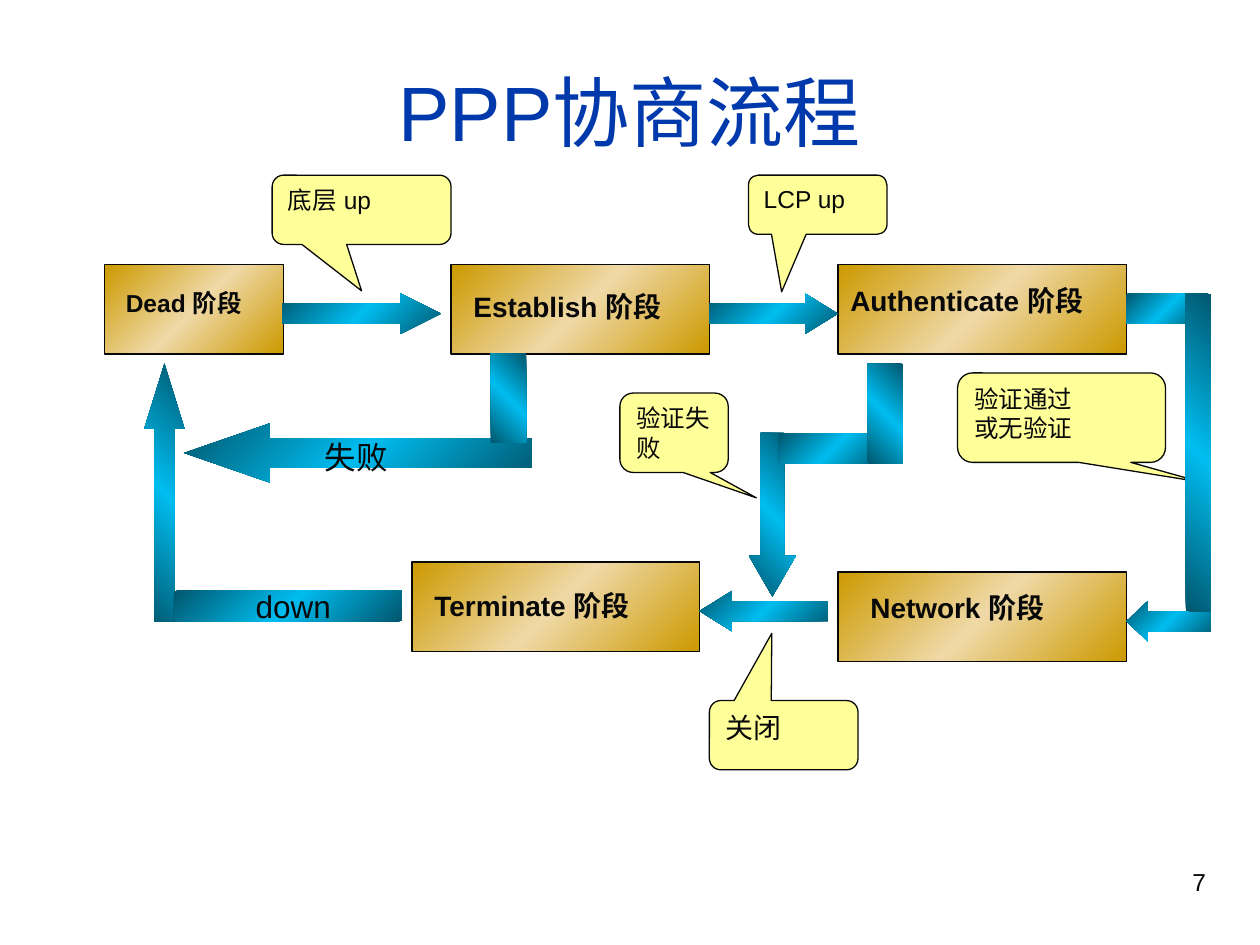
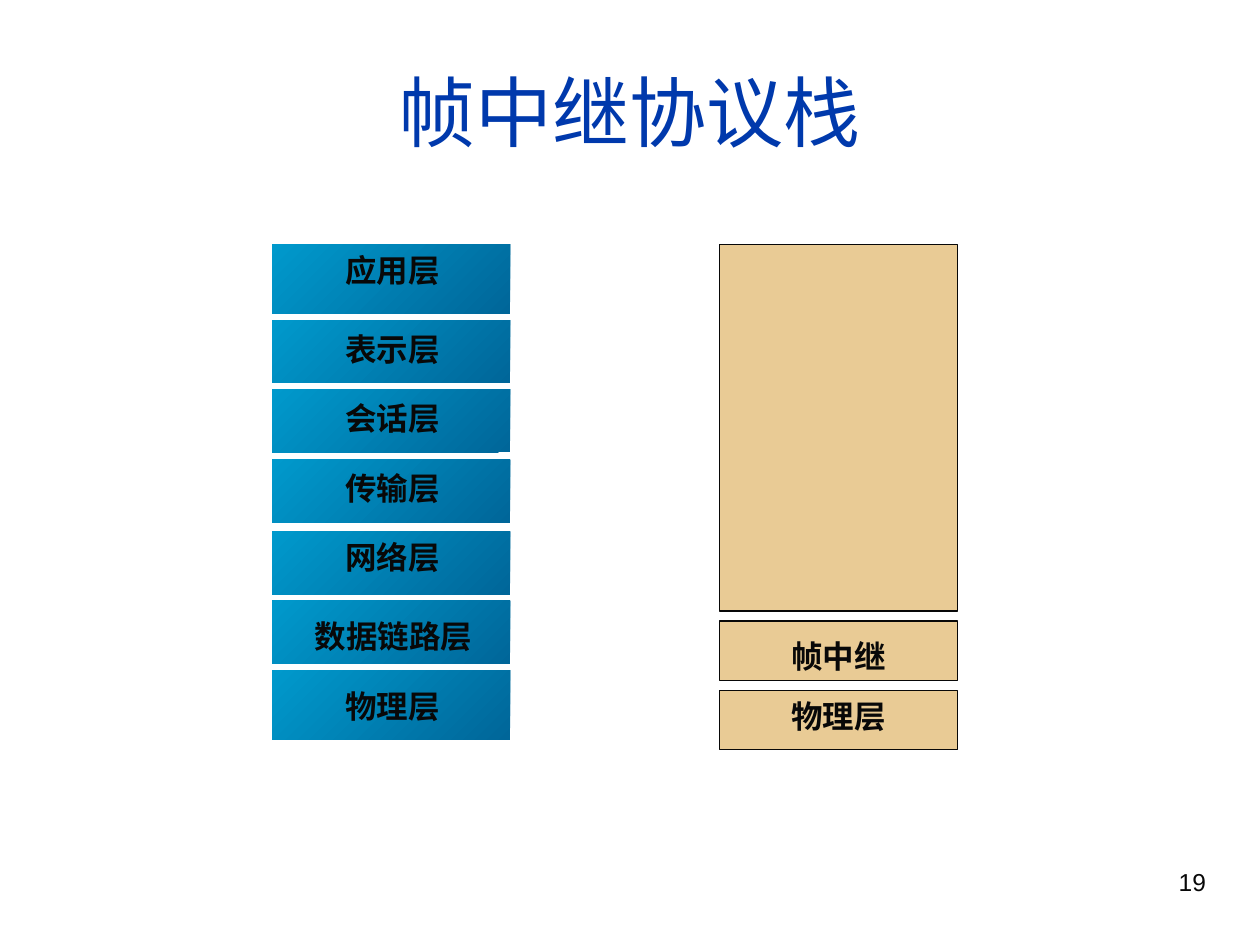
from copy import deepcopy
from pptx import Presentation
from pptx.dml.color import RGBColor
from pptx.enum.shapes import MSO_SHAPE as SHAPE
from pptx.enum.text import MSO_ANCHOR as ANCHOR, MSO_AUTO_SIZE as AUTO, PP_ALIGN as ALIGN
from pptx.oxml.ns import qn
from pptx.oxml.xmlchemy import OxmlElement
from pptx.util import Pt

PX = 9144  # 100 px to the inch

TITLE_BLUE = RGBColor(0x00, 0x39, 0xAC)
INK = RGBColor(0x08, 0x08, 0x08)
NOTE_YELLOW = RGBColor(0xFF, 0xFF, 0x99)
SAND = RGBColor(0xE9, 0xCB, 0x95)
GOLD = RGBColor(0xCC, 0x99, 0x00)
PALE_GOLD = RGBColor(0xEF, 0xD9, 0xA7)
TEAL = RGBColor(0x00, 0x57, 0x6E)
CYAN = RGBColor(0x00, 0xBD, 0xF0)
NAVY = RGBColor(0x00, 0x66, 0x99)
SKY = RGBColor(0x00, 0x99, 0xCC)

STAGE_FILL = (GOLD, PALE_GOLD, GOLD)
ARROW_FILL = (TEAL, CYAN, TEAL)
LAYER_FILL = (NAVY, SKY)


def add_box(slide, box, kind=None, fill=None, border=True, adj=(), turn=0):
    """Add a text box, or a preset shape with a plain or gradient fill."""
    lengths = [v * PX for v in box]
    if kind is None:
        return slide.shapes.add_textbox(*lengths)
    sp = slide.shapes.add_shape(kind, *lengths)
    sp.shadow.inherit = False
    sp.rotation = turn
    for i, value in enumerate(adj):
        sp.adjustments[i] = value
    if isinstance(fill, RGBColor):
        sp.fill.solid()
        sp.fill.fore_color.rgb = fill
    else:
        sp.fill.gradient()
        sp.fill.gradient_angle = 135
        if len(fill) == 3:
            stops = sp._element.spPr.find(qn("a:gradFill")).find(qn("a:gsLst"))
            stops.append(deepcopy(stops[-1]))
        for i, (stop, color) in enumerate(zip(sp.fill.gradient_stops, fill)):
            stop.position = i / (len(fill) - 1)
            stop.color.rgb = color
    if border:
        sp.line.color.rgb = INK
        sp.line.width = Pt(0.75)
    else:
        sp.line.fill.background()
    return sp


def write(sp, lines, size, bold=False, color=INK, align=ALIGN.LEFT,
          anchor=ANCHOR.TOP, label=False):
    """Write one paragraph per line; a label grows and has space before."""
    tf = sp.text_frame
    tf.word_wrap = True
    tf.vertical_anchor = anchor
    if label:
        tf.auto_size = AUTO.SHAPE_TO_FIT_TEXT
    for i, line in enumerate(lines):
        p = tf.add_paragraph() if i else tf.paragraphs[0]
        p.alignment = align
        if label:
            p.space_before = Pt(size * 0.625)
        r = p.add_run()
        r.text = line
        r.font.size = Pt(size)
        r.font.bold = bold
        r.font.name = "Arial"
        r.font.color.rgb = color
        ea = OxmlElement("a:ea")
        ea.set("typeface", "Arial")
        r._r.get_or_add_rPr().append(ea)


prs = Presentation()
prs.slide_width, prs.slide_height = 1000 * PX, 750 * PX

# Title and page number on both slides
slides = []
for title, number in (("PPP协商流程", "7"), ("帧中继协议栈", "19")):
    s = prs.slides.add_slide(prs.slide_layouts[6])
    write(add_box(s, (33, 25, 934, 125)), [title], 44, color=TITLE_BLUE,
          align=ALIGN.CENTER, anchor=ANCHOR.MIDDLE)
    write(add_box(s, (717, 683, 250, 52)), [number], 14, align=ALIGN.RIGHT)
    slides.append(s)
flow, stack = slides

# Stages: name, box, label box, size
for name, box, label_box, size in (
    ("Dead", (83, 210, 142, 71), (90, 224, 181, 34), 14),
    ("Establish", (358, 210, 205, 71), (366, 225, 276, 37), 16),
    ("Authenticate", (665, 210, 229, 71), (665, 220, 276, 37), 16),
    ("Network", (665, 454, 229, 71), (681, 464, 276, 37), 16),
    ("Terminate", (327, 446, 228, 71), (335, 462, 276, 37), 16),
):
    add_box(flow, box, SHAPE.RECTANGLE, STAGE_FILL)
    write(add_box(flow, label_box), [name + " 阶段"], size, bold=True, label=True)

# Callouts: lines, box, tip, size
for lines, box, tip, size in (
    (["底层 up"], (216, 139, 142, 55), (0, 1.17), 14),
    (["LCP up"], (594, 139, 110, 47), (-0.26, 1.47), 14),
    (["验证失败"], (492, 312, 86, 63), (0.76, 0.82), 14),
    (["验证通过", "或无验证"], (760, 296, 165, 71), (0.67, 0.72), 14),
    (["关闭"], (563, 556, 118, 55), (-0.08, -1.47), 16),
):
    sp = add_box(flow, box, SHAPE.ROUNDED_RECTANGULAR_CALLOUT, NOTE_YELLOW, adj=tip)
    write(sp, lines, size)

# Arrows and their elbow bars: box, turn, shaft and head
BAR = (1, 0)
for box, turn, adj in (
    ((146, 336, 276, 47), 180, (0.5, 1.45)),
    ((548, 390, 130, 37), 90, (0.5, 0.87)),
    ((224, 233, 126, 32), 0, (0.5, 1)),
    ((563, 233, 102, 32), 0, (0.5, 0.81)),
    ((555, 469, 102, 32), 180, (0.5, 0.81)),
    ((894, 233, 63, 24), 180, BAR),
    ((894, 477, 67, 32), 180, (0.5, 0.53)),
    ((825, 349, 252, 20), 90, BAR),
    ((618, 344, 87, 24), 180, BAR),
    ((663, 314, 79, 28), 90, BAR),
    ((28, 375, 205, 32), 270, (0.5, 1.62)),
    ((368, 302, 71, 28), 90, BAR),
    ((138, 469, 181, 24), 180, BAR),
):
    add_box(flow, box, SHAPE.RIGHT_ARROW, ARROW_FILL, False, adj, turn)

# Words on the arrows
for word, left, top in (("失败", 248, 343), ("down", 193, 461)):
    write(add_box(flow, (left, top, 150, 40)), [word], 18, label=True)

# Seven-layer stack and frame relay stack: name, top, height, label left, label top
OSI = (
    ("应用层", 194, 55, 264, 194),
    ("表示层", 254, 50, 264, 257),
    ("会话层", 309, 50, 264, 312),
    ("传输层", 365, 50, 264, 367),
    ("网络层", 422, 50, 264, 422),
    ("数据链路层", 477, 50, 240, 485),
    ("物理层", 532, 55, 264, 540),
)
FRAME_RELAY = (
    (None, 194, 291, 0, 0),
    ("帧中继", 493, 47, 618, 501),
    ("物理层", 548, 47, 618, 548),
)
for layers, left, fill, border in ((OSI, 216, LAYER_FILL, False),
                                   (FRAME_RELAY, 571, SAND, True)):
    for name, top, height, label_left, label_top in layers:
        add_box(stack, (left, top, 189, height), SHAPE.RECTANGLE, fill, border)
        if name:
            write(add_box(stack, (label_left, label_top, 244, 40)), [name], 18,
                  bold=True, label=True)

prs.save("out.pptx")
